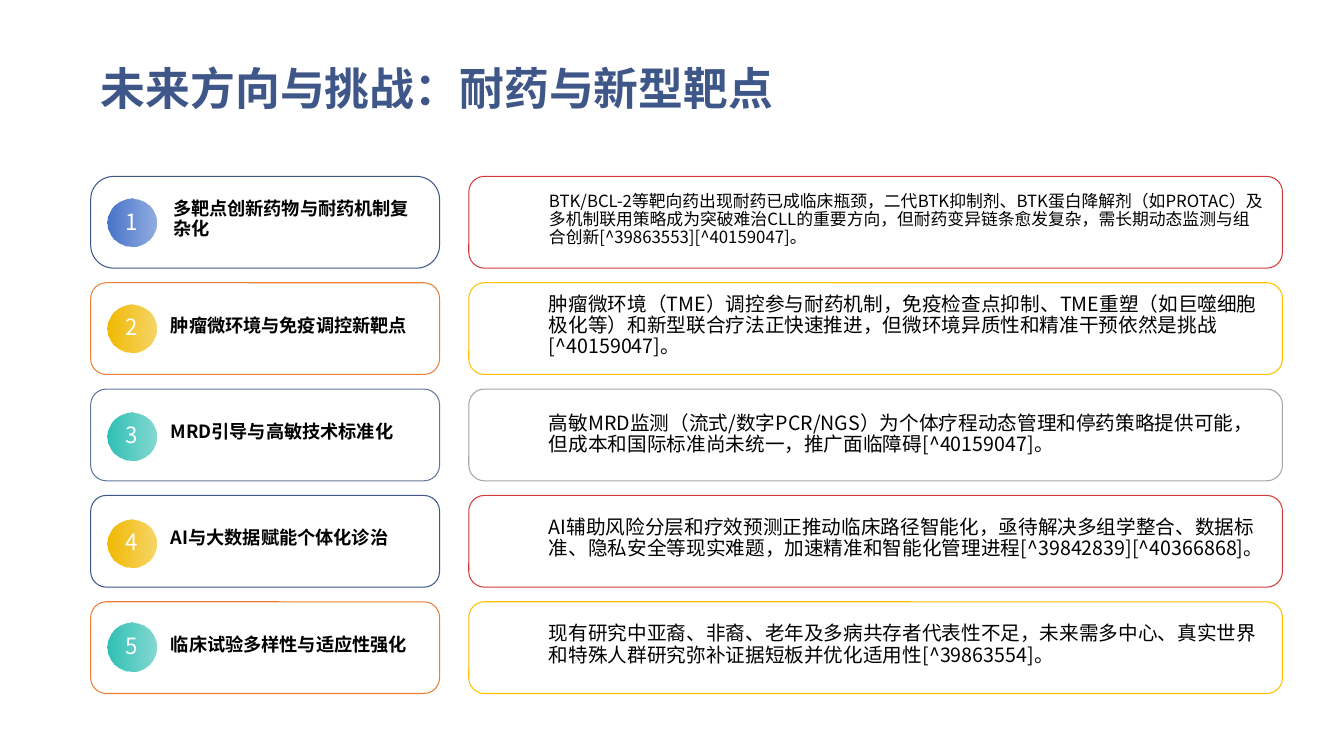
from lxml import etree
from pptx import Presentation
from pptx.dml.color import RGBColor
from pptx.enum.shapes import MSO_SHAPE
from pptx.enum.text import MSO_ANCHOR, PP_ALIGN
from pptx.oxml.ns import qn
from pptx.util import Emu, Pt

ROUNDED = MSO_SHAPE.ROUNDED_RECTANGLE
OVAL = MSO_SHAPE.OVAL
MIDDLE, BOTTOM = MSO_ANCHOR.MIDDLE, MSO_ANCHOR.BOTTOM
LEFT, CENTER = PP_ALIGN.LEFT, PP_ALIGN.CENTER

SCALE = 9144
FONT = "Noto Sans CJK SC"
COLORS = {
    "navy": "3E5788",
    "red": "D53A3A",
    "orange": "ED7D31",
    "yellow": "FFC000",
    "slate": "61779E",
    "gray": "A5A5A5",
    "blue": "4874CB",
    "gold": "F2BA02",
    "teal": "30C0B4",
    "black": "000000",
    "white": "FFFFFF",
}

TITLE = "未来方向与挑战：耐药与新型靶点"
ROWS = [
    ("多靶点创新药物与耐药机制复杂化",
     "BTK/BCL-2等靶向药出现耐药已成临床瓶颈，二代BTK抑制剂、BTK蛋白降解剂（如PROTAC）"
     "及多机制联用策略成为突破难治CLL的重要方向，但耐药变异链条愈发复杂，"
     "需长期动态监测与组合创新[^39863553][^40159047]。",
     "navy", "red", "blue", 12, 197),
    ("肿瘤微环境与免疫调控新靶点",
     "肿瘤微环境（TME）调控参与耐药机制，免疫检查点抑制、TME重塑（如巨噬细胞极化等）"
     "和新型联合疗法正快速推进，但微环境异质性和精准干预依然是挑战[^40159047]。",
     "orange", "yellow", "gold", 14, 302),
    ("MRD引导与高敏技术标准化",
     "高敏MRD监测（流式/数字PCR/NGS）为个体疗程动态管理和停药策略提供可能，"
     "但成本和国际标准尚未统一，推广面临障碍[^40159047]。",
     "slate", "gray", "teal", 14, 409),
    ("AI与大数据赋能个体化诊治",
     "AI辅助风险分层和疗效预测正推动临床路径智能化，亟待解决多组学整合、数据标准、"
     "隐私安全等现实难题，加速精准和智能化管理进程[^39842839][^40366868]。",
     "navy", "red", "gold", 14, 515),
    ("临床试验多样性与适应性强化",
     "现有研究中亚裔、非裔、老年及多病共存者代表性不足，未来需多中心、真实世界"
     "和特殊人群研究弥补证据短板并优化适用性[^39863554]。",
     "orange", "yellow", "teal", 14, 618),
]


def px(value):
    return Emu(round(value * SCALE))


def color(name):
    return RGBColor.from_string(COLORS[name])


def apply(target, values):
    for name, value in values.items():
        setattr(target, name, value)


class SlideBuilder:
    def __init__(self, slide):
        self.slide = slide

    def set_text(self, shape, text, size, color_name, bold=False,
                 align=LEFT, anchor=MIDDLE, insets=(0, 0, 0, 0)):
        frame = shape.text_frame
        sides = ("margin_left", "margin_top", "margin_right", "margin_bottom")
        apply(frame, dict(zip(sides, map(px, insets))))
        apply(frame, {"word_wrap": True, "vertical_anchor": anchor})
        paragraph = frame.paragraphs[0]
        apply(paragraph, {"alignment": align, "line_spacing": 0.9,
                          "space_before": Pt(10)})
        run = paragraph.add_run()
        run.text = text
        apply(run.font, {"name": FONT, "size": Pt(size), "bold": bold})
        run.font.color.rgb = color(color_name)
        east_asian = etree.SubElement(run.font._element, qn("a:ea"))
        east_asian.set("typeface", FONT)

    def title(self, text, left, top, width, height):
        shape = self.slide.shapes.title
        apply(shape, {"left": px(left), "top": px(top),
                      "width": px(width), "height": px(height)})
        self.set_text(shape, text, 32, "navy", bold=True, anchor=BOTTOM,
                      insets=(10, 5, 10, 5))

    def shape(self, kind, left, top, width, height):
        shape = self.slide.shapes.add_shape(
            kind, px(left), px(top), px(width), px(height))
        shape.shadow.inherit = False
        return shape

    def card(self, left, top, width, text, line_name, size,
             bold=False, rounding=0.17, inset_top=0):
        shape = self.shape(ROUNDED, left, top, width, 91)
        shape.adjustments[0] = rounding
        shape.fill.background()
        shape.line.color.rgb = color(line_name)
        shape.line.width = Pt(0.75)
        self.set_text(shape, text, size, "black", bold=bold,
                      insets=(75, inset_top, 12, 5))

    def badge(self, left, top, text, fill_name):
        shape = self.shape(OVAL, left, top, 48, 48)
        shape.line.fill.background()
        shape.fill.gradient()
        shape.fill.gradient_angle = 0
        for stop, position in zip(shape.fill.gradient_stops, (0, 1)):
            stop.position = position
            stop.color.rgb = color(fill_name)
        end_color = shape._element.spPr.findall(".//" + qn("a:srgbClr"))[-1]
        etree.SubElement(end_color, qn("a:alpha")).set("val", "59000")
        self.set_text(shape, text, 16, "white", align=CENTER)


def main():
    presentation = Presentation()
    apply(presentation, {"slide_width": px(1333), "slide_height": px(750)})
    slide = presentation.slides.add_slide(presentation.slide_layouts[5])
    builder = SlideBuilder(slide)
    builder.title(TITLE, 90, 40, 1181, 79)
    for index, row in enumerate(ROWS):
        label, detail, label_line, detail_line, badge_fill, size, badge_top = row
        top = 175 + 105.5 * index
        builder.card(90, top, 346, label, label_line, 13, bold=True,
                     rounding=0.25 if index == 0 else 0.17)
        builder.card(465, top, 807, detail, detail_line, size,
                     inset_top=5 if index == 2 else 0)
        builder.badge(107, badge_top, str(index + 1), badge_fill)
    presentation.save("out.pptx")


if __name__ == "__main__":
    main()
